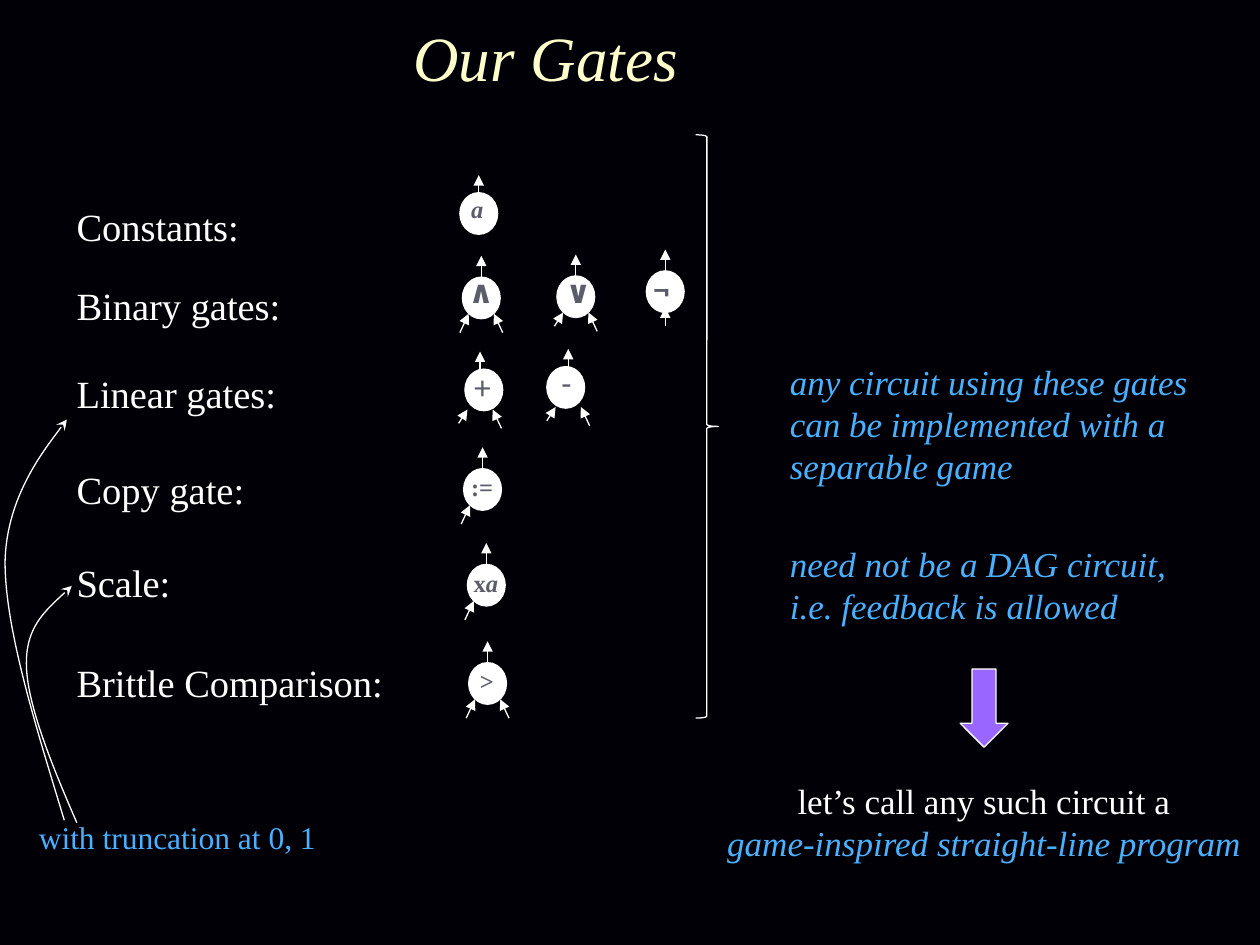
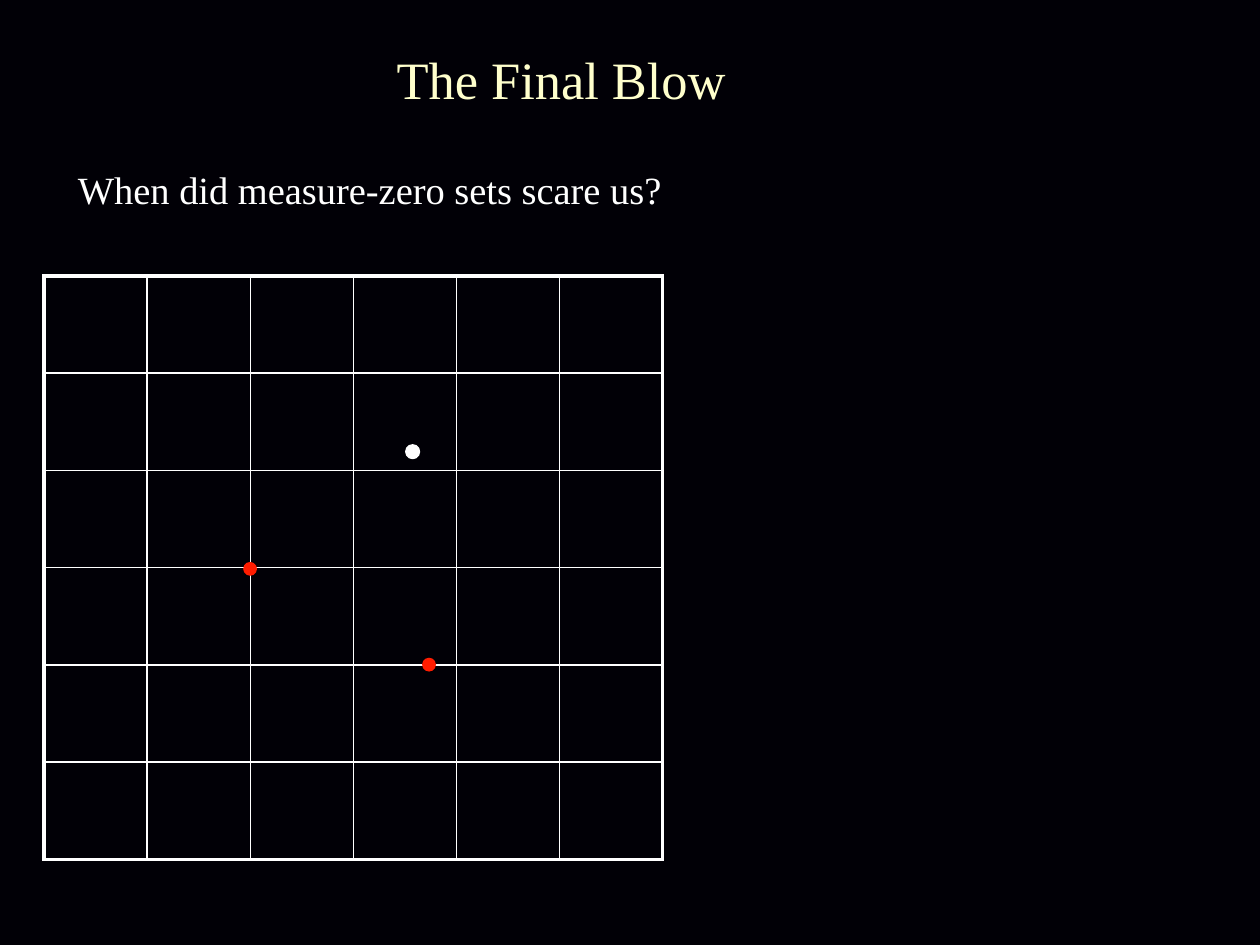
from dataclasses import dataclass
from typing import Optional

import pptx
import pptx.dml.color
import pptx.enum.shapes
import pptx.enum.text
import pptx.oxml
import pptx.oxml.ns
import pptx.util
from pptx.util import Inches

RGBColor = pptx.dml.color.RGBColor
MSO_SHAPE = pptx.enum.shapes.MSO_SHAPE
PP_ALIGN = pptx.enum.text.PP_ALIGN
qn = pptx.oxml.ns.qn

NIGHT = RGBColor(0x01, 0x00, 0x06)
CREAM = RGBColor(0xFF, 0xFF, 0xCC)
WHITE = RGBColor(0xFF, 0xFF, 0xFF)
SLATE = RGBColor(0x5B, 0x5D, 0x6B)
SKY = RGBColor(0x49, 0xB1, 0xFF)
VIOLET = RGBColor(0x99, 0x66, 0xFF)
RED = RGBColor(0xFF, 0x1C, 0x00)

SERIF = "Times New Roman"
SANS = "Lato"
THIN = 0.75


@dataclass(frozen=True)
class Style:
    size: float
    color: RGBColor = WHITE
    font: str = SERIF
    bold: bool = False
    italic: bool = False


@dataclass(frozen=True)
class Gate:
    """A gate: its output stem starts at (x, y); its symbol box is at symbol_box."""
    x: float
    y: float
    symbol: str
    symbol_box: tuple
    style: Style
    inputs: str = ""            # any of L (left), C (centre), R (right)
    left_drop: float = 0.44     # where the left input starts, below the stem
    disc_dx: float = -0.15
    disc_dy: float = 0
    italic_tail: str = ""


@dataclass(frozen=True)
class GateRow:
    name: str
    top: float
    width: float
    gates: tuple


@dataclass(frozen=True)
class Point:
    x: float
    y: float
    color: RGBColor
    outline: Optional[RGBColor] = None


HEADING = Style(22)
REMARK = Style(20, SKY, italic=True)
LOGIC = Style(18, SLATE, SANS, bold=True)
ARITHMETIC = Style(18, SLATE, SANS)
SMALL = Style(14, SLATE, bold=True)
VARIABLE = Style(14, SLATE, bold=True, italic=True)

GATE_ROWS = (
    GateRow("Constants:", 1.56, 1.5, (
        Gate(3.8, 1.56, "a", (3.64, 1.49, 0.38, 0.34), VARIABLE, disc_dy=-0.03),)),
    GateRow("Binary gates:", 2.19, 1.84, (
        Gate(3.82, 2.2, "∧", (3.62, 2.11, 0.4, 0.5), LOGIC, "LR"),
        Gate(4.57, 2.19, "∨", (4.39, 2.11, 0.4, 0.5), LOGIC, "LR", 0.4),
        Gate(5.28, 2.15, "¬", (5.08, 2.09, 0.44, 0.5), LOGIC, "C"))),
    GateRow("Linear gates:", 2.89, 1.8, (
        Gate(3.81, 2.96, "+", (3.66, 2.87, 0.44, 0.5), ARITHMETIC, "LR", 0.4, -0.12, -0.03),
        Gate(4.51, 2.94, "-", (4.35, 2.84, 0.32, 0.5), ARITHMETIC, "LR", 0.4, -0.17, -0.03))),
    GateRow("Copy gate:", 3.65, 1.55, (
        Gate(3.83, 3.72, ":=", (3.64, 3.7, 0.38, 0.34), SMALL, "L"),)),
    GateRow("Scale:", 4.39, 0.96, (
        Gate(3.86, 4.48, "x", (3.66, 4.46, 0.45, 0.34), SMALL, "L", italic_tail="a"),)),
    GateRow("Brittle Comparison:", 5.18, 2.66, (
        Gate(3.87, 5.26, ">", (3.71, 5.24, 0.36, 0.34), SMALL, "LR"),)),
)

# Bézier points: a start, then two controls and an end for each piece
TRUNCATION_CURVES = (
    ((0.61, 6.53), (0.41, 6.07), (0.22, 5.6), (0.21, 5.29),
     (0.2, 4.98), (0.39, 4.82), (0.57, 4.65)),
    ((0.51, 6.51), (0.28, 5.75), (0.04, 4.99), (0.04, 4.46),
     (0.05, 3.93), (0.53, 3.33), (0.53, 3.33)),
)

GRID_BOX = (0.35, 2.19, 4.91, 4.63)
GRID_SIZE = 6
POINT_SIZE = 0.11
POINTS = (
    Point(3.22, 3.53, WHITE, WHITE),
    Point(1.93, 4.46, RED),
    Point(3.35, 5.22, RED),
)


# Shared drawing functions
def inches(box: tuple) -> list:
    return [Inches(length) for length in box]


def format_run(run, style: Style) -> None:
    run.font.size = pptx.util.Pt(style.size)
    run.font.name = style.font
    run.font.color.rgb = style.color
    run.font.bold = style.bold
    run.font.italic = style.italic


def add_text(shapes, box: tuple, lines: tuple, wrap: bool = False,
             align: PP_ALIGN = PP_ALIGN.LEFT):
    """Add a text box with one paragraph for each (text, style) in lines."""
    frame = shapes.add_textbox(*inches(box)).text_frame
    frame.word_wrap = wrap
    frame.auto_size = pptx.enum.text.MSO_AUTO_SIZE.SHAPE_TO_FIT_TEXT
    frame.text = "\n".join(text for text, _ in lines)
    for paragraph, (_, style) in zip(frame.paragraphs, lines):
        paragraph.alignment = align
        format_run(paragraph.runs[0], style)
    return frame


def add_title(slide, box: tuple, text: str, style: Style) -> None:
    frame = add_text(slide.shapes, box, ((text, style),), True, PP_ALIGN.CENTER)
    frame.auto_size = pptx.enum.text.MSO_AUTO_SIZE.NONE
    frame.vertical_anchor = pptx.enum.text.MSO_ANCHOR.MIDDLE


def paint(shape, fill: Optional[RGBColor], outline: Optional[RGBColor]) -> None:
    shape.shadow.inherit = False
    for part, color in ((shape.fill, fill), (shape.line.fill, outline)):
        if color is None:
            part.background()
        else:
            part.solid()
            part.fore_color.rgb = color
    if outline is not None:
        shape.line.width = pptx.util.Pt(THIN)


def add_preset(shapes, preset: MSO_SHAPE, box: tuple, fill: Optional[RGBColor],
               outline: Optional[RGBColor] = WHITE) -> None:
    paint(shapes.add_shape(preset, *inches(box)), fill, outline)


def add_arrowhead(shape, kind: str) -> None:
    """Put an arrowhead at the end of a shape whose line is already set."""
    shape._element.spPr.find(qn("a:ln")).append(pptx.oxml.parse_xml(
        f'<a:tailEnd {pptx.oxml.ns.nsdecls("a")} type="{kind}"/>'))


def add_arrow(shapes, start: tuple, end: tuple) -> None:
    arrow = shapes.add_connector(pptx.enum.shapes.MSO_CONNECTOR.STRAIGHT,
                                 *inches(start + end))
    arrow.line.color.rgb = WHITE
    arrow.line.width = pptx.util.Pt(THIN)
    add_arrowhead(arrow, "triangle")
    arrow._element.spPr.append(pptx.oxml.parse_xml(
        f'<a:effectLst {pptx.oxml.ns.nsdecls("a")}/>'))


def add_curve(shapes, points: tuple) -> None:
    """Draw an outline through all points, then turn each three into a Bézier piece."""
    start, *rest = [tuple(inches(point)) for point in points]
    builder = shapes.build_freeform(*start)
    builder.add_line_segments(rest, close=False)
    curve = builder.convert_to_shape()
    paint(curve, None, WHITE)
    add_arrowhead(curve, "stealth")
    segments = list(curve._element.iter(qn("a:lnTo")))
    outline = segments[0].getparent()
    for first in range(0, len(segments), 3):
        piece = outline.makeelement(qn("a:cubicBezTo"), {})
        outline.append(piece)
        for segment in segments[first:first + 3]:
            piece.append(segment[0])
            outline.remove(segment)


def add_gate(shapes, gate: Gate) -> None:
    add_preset(shapes, MSO_SHAPE.OVAL,
               (gate.x + gate.disc_dx, gate.y + gate.disc_dy, 0.3, 0.33), WHITE)
    add_arrow(shapes, (gate.x, gate.y), (gate.x, gate.y - 0.17))
    for side in gate.inputs:
        direction = "LCR".index(side) - 1
        drop = gate.left_drop if side == "L" else 0.44
        add_arrow(shapes, (gate.x + 0.17 * direction, gate.y + drop),
                  (gate.x + 0.1 * direction, gate.y + 0.29))
    label = add_text(shapes, gate.symbol_box, ((gate.symbol, gate.style),))
    if gate.italic_tail:
        tail = label.paragraphs[0].add_run()
        tail.text = gate.italic_tail
        format_run(tail, VARIABLE)


def set_borders(cell, widths: dict) -> None:
    properties = cell._tc.get_or_add_tcPr()
    for side, width in widths.items():
        properties.append(pptx.oxml.parse_xml(
            f'<a:ln{side} {pptx.oxml.ns.nsdecls("a")} w="{pptx.util.Pt(width)}">'
            f'<a:solidFill><a:srgbClr val="{WHITE}"/></a:solidFill></a:ln{side}>'))


def add_grid(shapes) -> None:
    grid = shapes.add_table(GRID_SIZE, GRID_SIZE, *inches(GRID_BOX)).table
    grid.first_row = False
    grid.horz_banding = False
    last = GRID_SIZE - 1
    for row in range(GRID_SIZE):
        for column in range(GRID_SIZE):
            on_edge = {"L": column == 0, "R": column == last,
                       "T": row == 0, "B": row == last}
            cell = grid.cell(row, column)
            set_borders(cell, {side: 2.25 if edge else 1
                               for side, edge in on_edge.items()})
            cell.fill.background()


def add_slide(deck):
    slide = deck.slides.add_slide(deck.slide_layouts[6])
    slide.background.fill.solid()
    slide.background.fill.fore_color.rgb = NIGHT
    return slide


# Slides
def build_gates(deck) -> None:
    slide = add_slide(deck)
    shapes = slide.shapes
    add_title(slide, (0.08, -0.18, 8.5, 1.25), "Our Gates", Style(36, CREAM, italic=True))

    for row in GATE_ROWS:
        members = shapes.add_group_shape().shapes
        add_text(members, (0.51, row.top, row.width, 0.47), ((row.name, HEADING),))
        for gate in row.gates:
            add_gate(members, gate)

    # What the gates give
    add_preset(shapes, MSO_SHAPE.RIGHT_BRACE, (5.52, 1.07, 0.18, 4.63), None)
    add_text(shapes, (6.17, 2.81, 3.38, 1.11), ((
        "any circuit using these gates can be implemented with a separable game",
        REMARK),), wrap=True)
    add_text(shapes, (6.17, 4.26, 3.38, 0.77), ((
        "need not be a DAG circuit, i.e. feedback is allowed", REMARK),), wrap=True)
    add_preset(shapes, MSO_SHAPE.DOWN_ARROW, (7.62, 5.31, 0.38, 0.62), VIOLET)
    add_text(shapes, (5.61, 6.14, 4.4, 0.77), (
        ("let’s call any such circuit a", Style(20)),
        ("game-inspired straight-line program", REMARK)), align=PP_ALIGN.CENTER)

    # Truncation note
    truncation = shapes.add_group_shape().shapes
    add_text(truncation, (0.21, 6.44, 2.44, 0.4),
             (("with truncation at 0, 1", Style(18, SKY)),))
    for points in TRUNCATION_CURVES:
        add_curve(truncation, points)


def build_final_blow(deck) -> None:
    slide = add_slide(deck)
    add_title(slide, (0.14, 0, 8.63, 1.25), "The Final Blow", Style(30, CREAM))
    add_text(slide.shapes, (0.52, 1.27, 7.51, 0.47),
             (("When did measure-zero sets scare us?", HEADING),), wrap=True)
    add_grid(slide.shapes)
    for point in POINTS:
        add_preset(slide.shapes, MSO_SHAPE.OVAL,
                   (point.x, point.y, POINT_SIZE, POINT_SIZE), point.color, point.outline)


def main() -> None:
    deck = pptx.Presentation()
    deck.slide_width = Inches(10)
    deck.slide_height = Inches(7.5)
    build_gates(deck)
    build_final_blow(deck)
    deck.save("out.pptx")


if __name__ == "__main__":
    main()
